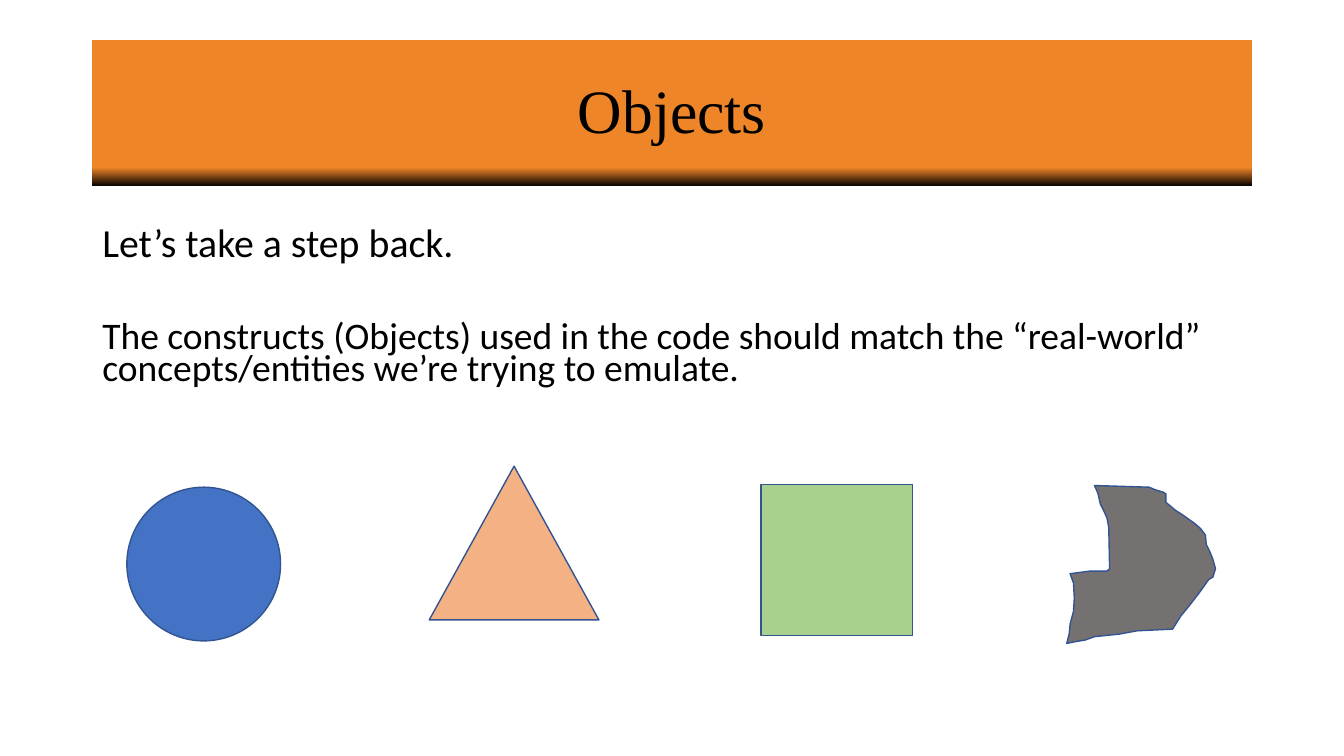
from pptx import Presentation
from pptx.dml.color import RGBColor
from pptx.enum.shapes import MSO_SHAPE as Preset
from pptx.enum.text import MSO_ANCHOR as Anchor, PP_ALIGN as Align
from pptx.util import Inches, Pt

COLORS = {
    "text": "000000",
    "banner": "EF8529",
    "outline": "325491",
    "circle": "4472C4",
    "triangle": "F4B183",
    "square": "A9D18E",
    "irregular": "767171",
}
COLUMNS, ROWS = 160, 90
MARGIN, CONTENT_WIDTH = 11, 138

FIGURES = [
    (Preset.OVAL, (15.1, 58, 18.3, 18.3), "circle"),
    (Preset.ISOSCELES_TRIANGLE, (51.1, 55.5, 20.2, 18.3), "triangle"),
    (Preset.RECTANGLE, (90.6, 57.7, 18, 18), "square"),
]

IRREGULAR_OUTLINE = [
    (130.3, 57.8), (136.8, 58), (137.5, 58.3), (138.5, 58.6), (138.8, 58.8),
    (138.8, 59.8), (140, 60.8), (140.8, 61.3), (142.2, 62.3), (142.9, 62.9),
    (143.5, 63.7), (143.6, 64.8), (144, 65.6), (144.4, 66.6), (144.7, 67.7),
    (144.4, 68.7), (143.9, 69), (142.9, 70.4), (141.6, 72.1), (140.6, 73.3),
    (139.6, 74.9), (135.4, 75.1), (133.2, 75.5), (130.3, 75.8), (129.2, 76.2),
    (128, 76.4), (127, 76.6), (127.3, 75.4), (127.4, 74.3), (127.8, 72.8),
    (127.9, 71.2), (127.8, 69.4), (127.4, 68.3), (129.7, 68), (131.8, 68),
    (132.1, 67.7), (132, 62.8), (131.8, 61.7), (131.4, 60.8), (131, 60),
    (130.7, 58.7),
]


class SlideBuilder:
    title_font = "Times New Roman"
    body_font = "Calibri"

    def __init__(self, presentation):
        self.column = presentation.slide_width / COLUMNS
        self.row = presentation.slide_height / ROWS
        self.slide = presentation.slides.add_slide(presentation.slide_layouts[6])

    def point(self, column, row):
        return round(column * self.column), round(row * self.row)

    def box(self, left, top, width, height):
        return *self.point(left, top), *self.point(width, height)

    def color(self, name):
        return RGBColor.from_string(COLORS[name])

    def add_text(self, paragraph, text, size, font, spacing):
        paragraph.line_spacing = spacing
        run = paragraph.add_run()
        run.text = text
        run.font.size = Pt(size)
        run.font.name = font
        run.font.color.rgb = self.color("text")

    def banner(self, area, text):
        shape = self.slide.shapes.add_shape(Preset.RECTANGLE, *self.box(*area))
        shape.shadow.inherit = False
        shape.line.fill.background()
        shape.fill.gradient()
        shape.fill.gradient_angle = 90
        stops = [(0, "text"), (0.13, "banner")]
        for stop, (position, name) in zip(shape.fill.gradient_stops, stops):
            stop.position = position
            stop.color.rgb = self.color(name)
        shape.text_frame.vertical_anchor = Anchor.MIDDLE
        paragraph = shape.text_frame.paragraphs[0]
        paragraph.alignment = Align.CENTER
        self.add_text(paragraph, text, 44, self.title_font, 0.9)

    def body(self, area, entries):
        frame = self.slide.shapes.add_textbox(*self.box(*area)).text_frame
        frame.word_wrap = True
        for index, (text, size, space_before) in enumerate(entries):
            paragraph = frame.add_paragraph() if index else frame.paragraphs[0]
            paragraph.space_before = Pt(space_before)
            self.add_text(paragraph, text, size, self.body_font, 0.7)

    def paint(self, shape, fill):
        shape.shadow.inherit = False
        shape.fill.solid()
        shape.fill.fore_color.rgb = self.color(fill)
        shape.line.color.rgb = self.color("outline")
        shape.line.width = Pt(1)

    def figure(self, preset, area, fill):
        self.paint(self.slide.shapes.add_shape(preset, *self.box(*area)), fill)

    def outline(self, points, fill):
        start, *others = [self.point(*point) for point in points]
        builder = self.slide.shapes.build_freeform(*start)
        builder.add_line_segments(others, close=True)
        self.paint(builder.convert_to_shape(), fill)


def main():
    presentation = Presentation()
    presentation.slide_width = Inches(13.33)
    presentation.slide_height = Inches(7.5)

    builder = SlideBuilder(presentation)
    builder.banner((MARGIN, 4.8, CONTENT_WIDTH, 17.4), "Objects")
    builder.body((MARGIN, 26.9, CONTENT_WIDTH, 20.3), [
        ("Let’s take a step back.", 28.4, 10),
        ("The constructs (Objects) used in the code should match the "
         "“real-world” concepts/entities we’re trying to emulate.", 26.8, 43),
    ])
    for preset, area, fill in FIGURES:
        builder.figure(preset, area, fill)
    builder.outline(IRREGULAR_OUTLINE, "irregular")

    presentation.save("out.pptx")


if __name__ == "__main__":
    main()
